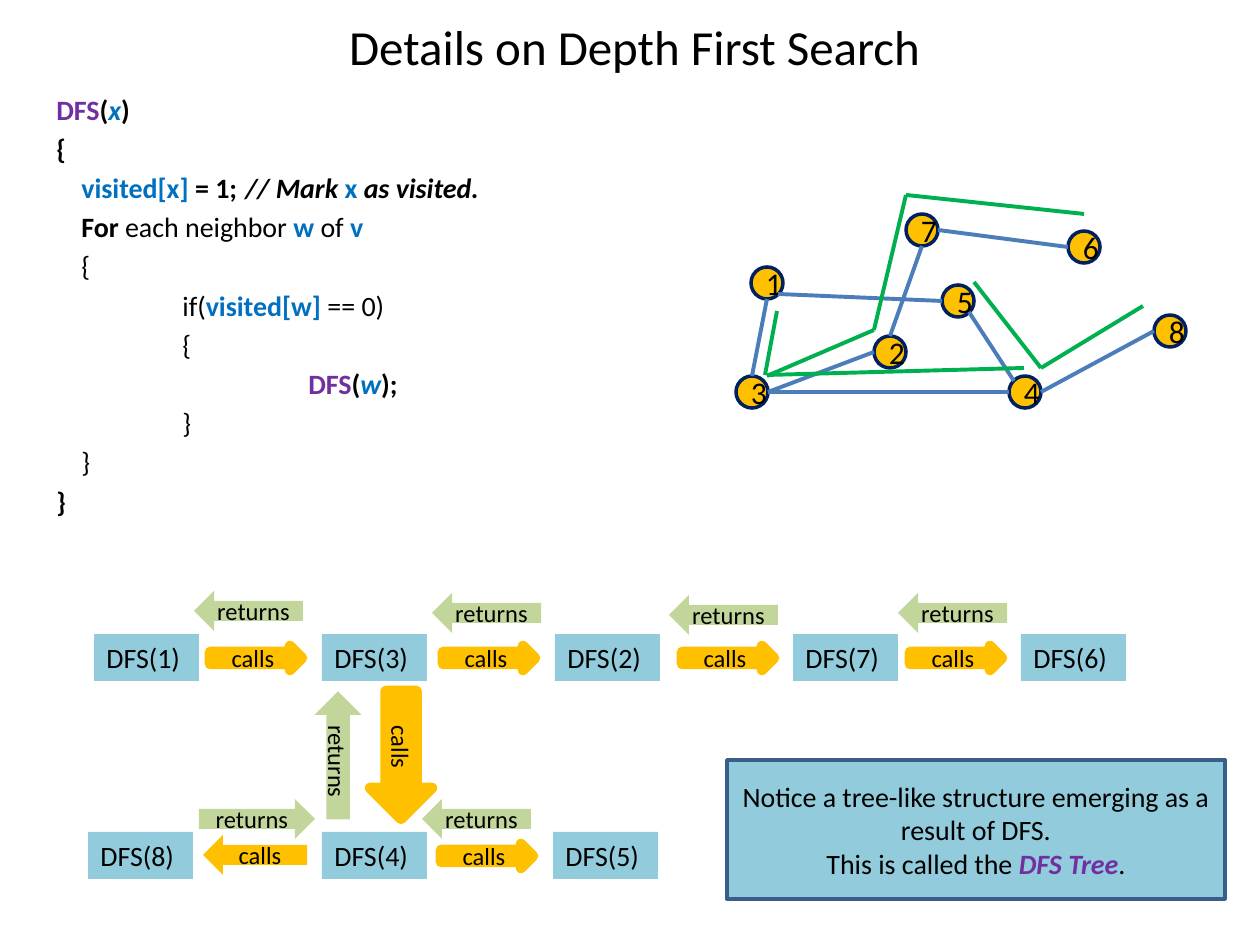
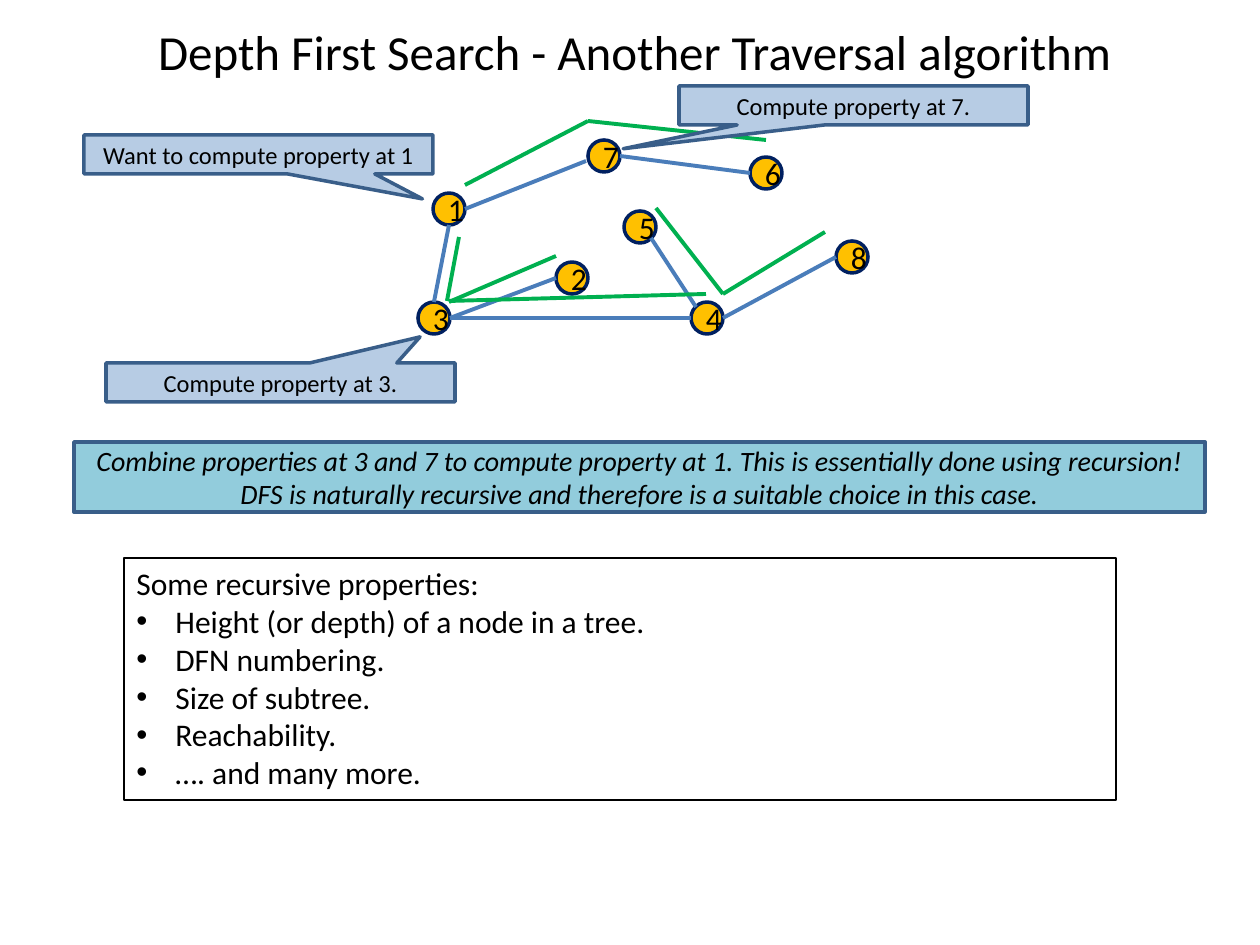
from pptx import Presentation
from pptx.dml.color import RGBColor
from pptx.enum.shapes import MSO_CONNECTOR, MSO_SHAPE as Shape
from pptx.enum.text import MSO_ANCHOR as Anchor, PP_ALIGN as Align
from pptx.oxml.ns import qn
from pptx.util import Pt
from lxml import etree

# Shared scale, font and colours
PX = 914400 / 126
FONT = "Calibri"
BLACK, NAVY, STEEL = "000000", "002060", "395E89"
PURPLE, BLUE = "7030A0", "0070C0"
AMBER, SAGE, AQUA, PALE = "FFC000", "C2D59B", "92CCDC", "B7CCE4"
EDGE, TRAIL = "4A7DBA", "00B050"

# The graph: node corners, and where a line meets a node
NODE = 32
NODES = {"1": (751, 267), "2": (874, 336), "3": (736, 376), "4": (1009, 376),
         "5": (942, 285), "6": (1068, 231), "7": (906, 214), "8": (1154, 315)}
SIDES = {"top": (16, 0), "left": (0, 16), "bottom": (16, 32), "right": (32, 16),
         "upper left": (5, 5), "lower right": (27, 27), "lower left": (-2, 21)}
COMMON_EDGES = [("4", "left", "3", "right"), ("1", "bottom", "3", "top"),
                ("2", "left", "3", "right"), ("5", "lower right", "4", "upper left"),
                ("7", "right", "6", "left"), ("8", "left", "4", "right")]
COMMON_TRAILS = [[(1084, 214), (906, 195)], [(767, 376), (874, 330)],
                 [(974, 282), (1041, 368), (1143, 306)],
                 [(767, 375), (1024, 368)], [(777, 311), (765, 375)]]

# Pseudocode: first-line indent, then spans of text, colour and b/i flags
CODE = [
    (0, [("DFS", PURPLE, "b"), ("(", BLACK, "b"), ("x", BLUE, "bi"), (")", BLACK, "b")]),
    (0, [("{", BLACK, "b")]),
    (25, [("visited[x]", BLUE, "b"), (" = 1;\t", BLACK, "b"), ("// Mark ", BLACK, "bi"),
          ("x", BLUE, "b"), (" as visited.", BLACK, "bi")]),
    (25, [("For ", BLACK, "b"), ("each neighbor ", BLACK, ""), ("w ", BLUE, "b"),
          ("of ", BLACK, ""), ("v", BLUE, "b")]),
    (25, [("{", BLACK, "")]),
    (126, [("if(", BLACK, ""), ("visited[w]", BLUE, "b"), (" == 0)", BLACK, "")]),
    (126, [("{", BLACK, "")]),
    (252, [("DFS", PURPLE, "b"), ("(", BLACK, "b"), ("w", BLUE, "bi"), (");", BLACK, "b")]),
    (126, [("}", BLACK, "")]),
    (25, [("}", BLACK, "")]),
    (0, [("}", BLACK, "b")]),
]


def px(length):
    return round(length * PX)


def rgb(value):
    return RGBColor.from_string(value)


def set_font(font, size, colour=BLACK, flags=""):
    font.name, font.size = FONT, Pt(size)
    font.color.rgb = rgb(colour)
    font.bold, font.italic = "b" in flags, "i" in flags


def write(box, paragraphs, size, align=Align.CENTER, anchor=Anchor.MIDDLE, flags=""):
    """Each paragraph is a string, or a list of (text, colour, flags) spans."""
    frame = box.text_frame
    frame.word_wrap, frame.vertical_anchor = True, anchor
    for index, content in enumerate(paragraphs):
        para = frame.add_paragraph() if index else frame.paragraphs[0]
        para.alignment = align
        if isinstance(content, str):
            para.text = content
            set_font(para.font, size, flags=flags)
            continue
        for text, colour, span_flags in content:
            span = para.add_run()
            span.text = text
            set_font(span.font, size, colour, span_flags)
    return frame


def add_box(page, kind, area, fill=None, line=None, width=2):
    box = page.shapes.add_shape(kind, *map(px, area))
    box.shadow.inherit = False
    if fill:
        box.fill.solid()
        box.fill.fore_color.rgb = rgb(fill)
    else:
        box.fill.background()
    if line:
        box.line.color.rgb = rgb(line)
        box.line.width = Pt(width)
    else:
        box.line.fill.background()
    return box


def add_title(page, text, top, height):
    write(page.shapes.add_textbox(*map(px, (84, top, 1101, height))), [text], 28)


def add_line(page, start, end, colour):
    line = page.shapes.add_connector(MSO_CONNECTOR.STRAIGHT, *map(px, (*start, *end)))
    line.line.color.rgb = rgb(colour)
    line.line.width = Pt(2.25)
    etree.SubElement(line._element.spPr, qn("a:effectLst"))


def add_graph(page, edges, trails, shift=(0, 0)):
    def moved(point, by=(0, 0)):
        return point[0] + by[0] + shift[0], point[1] + by[1] + shift[1]

    for name, corner in NODES.items():
        node = add_box(page, Shape.OVAL, (*moved(corner), NODE, NODE), AMBER, NAVY)
        write(node, [name], 18)
    for first, first_side, second, second_side in COMMON_EDGES + edges:
        add_line(page, moved(NODES[first], SIDES[first_side]),
                 moved(NODES[second], SIDES[second_side]), EDGE)
    for trail in COMMON_TRAILS + trails:
        for start, end in zip(trail, trail[1:]):
            add_line(page, moved(start), moved(end), TRAIL)


def add_call_box(page, number, left, top):
    box = add_box(page, Shape.RECTANGLE, (left, top, 105, 47), AQUA)
    write(box, [f"DFS({number})"], 16, Align.LEFT, Anchor.TOP)


def add_arrow(page, text, kind, area, rotation=0, outlined=False):
    fill = AMBER if text == "calls" else SAGE
    arrow = add_box(page, kind, area, fill, fill if outlined else None, 6)
    arrow.rotation = rotation
    write(arrow, [text], 14)


def add_callout(page, text, left, top, tip):
    callout = add_box(page, Shape.RECTANGULAR_CALLOUT, (left, top, 349, 39), PALE, STEEL)
    callout.adjustments[0], callout.adjustments[1] = tip
    write(callout, [text], 14)


def add_code(page):
    box = page.shapes.add_textbox(*map(px, (44, 86, 529, 456)))
    frame = write(box, [spans for _, spans in CODE], 16, Align.LEFT, Anchor.TOP)
    for index, (para, (indent, _)) in enumerate(zip(frame.paragraphs, CODE)):
        para.space_before = Pt(3.2 if index else 0)
        para._p.get_or_add_pPr().set("indent", str(px(indent)))


def add_call_tree(page):
    # Top chain
    for number, left in zip((1, 3, 2, 7, 6), (94, 322, 555, 793, 1021)):
        add_call_box(page, number, left, 634)
    for left in (210, 443, 682, 910):
        add_arrow(page, "calls", Shape.RIGHT_ARROW, (left, 646, 92, 24), outlined=True)
    for left, top in ((194, 591), (432, 593), (669, 595), (898, 593)):
        add_arrow(page, "returns", Shape.LEFT_ARROW, (left, top, 109, 40))
    # Down to the second row and back
    add_arrow(page, "calls", Shape.RIGHT_ARROW, (337, 724, 128, 62), 90, True)
    add_arrow(page, "returns", Shape.LEFT_ARROW, (274, 732, 128, 47), 90)
    # Second row
    for number, left in zip((8, 4, 5), (88, 322, 553)):
        add_call_box(page, number, left, 832)
    add_arrow(page, "calls", Shape.RIGHT_ARROW, (441, 844, 92, 24), outlined=True)
    add_arrow(page, "returns", Shape.LEFT_ARROW, (422, 799, 109, 40))
    add_arrow(page, "calls", Shape.LEFT_ARROW, (203, 835, 104, 40))
    add_arrow(page, "returns", Shape.RIGHT_ARROW, (199, 799, 116, 40))


def add_property_list(page):
    box = add_box(page, Shape.RECTANGLE, (124, 558, 992, 242), line=BLACK, width=0.75)
    frame = write(box, ["Some recursive properties:",
                        "Height (or depth) of a node in a tree.", "DFN numbering.",
                        "Size of subtree.", "Reachability.", "…. and many more."],
                  18, Align.LEFT, Anchor.TOP)
    for para in frame.paragraphs[1:]:
        layout = para._p.get_or_add_pPr()
        layout.set("marL", str(px(39)))
        layout.set("indent", str(px(-39)))
        bullet = etree.Element(qn("a:buChar"), char="•")
        layout.insert(0, bullet)
        bullet_font = etree.Element(qn("a:buFont"), typeface="Arial")
        layout.insert(0, bullet_font)


def build_details(page):
    add_title(page, "Details on Depth First Search", -4, 100)
    add_code(page)
    add_graph(page, [("1", "lower right", "5", "left"), ("7", "bottom", "2", "top")],
              [[(874, 330), (906, 195)]])
    add_call_tree(page)
    note = add_box(page, Shape.RECTANGLE, (727, 760, 498, 139), AQUA, STEEL)
    write(note, ["Notice a tree-like structure emerging as a result of DFS.",
                 [("This is called the ", BLACK, ""), ("DFS Tree", PURPLE, "bi"),
                  (".", BLACK, "")]], 16)


def build_traversal(page):
    add_title(page, "Depth First Search - Another Traversal algorithm", 6, 90)
    add_graph(page, [("1", "right", "7", "lower left")], [[(783, 259), (906, 195)]],
              (-318, -74))
    add_callout(page, "Want to compute property at 1", 84, 135, (0.47, 1.14))
    add_callout(page, "Compute property at 3.", 106, 363, (0.4, -1.17))
    add_callout(page, "Compute property at 7.", 679, 86, (-0.66, 1.11))
    banner = add_box(page, Shape.RECTANGLE, (74, 442, 1131, 70), AQUA, STEEL)
    write(banner, ["Combine properties at 3 and 7 to compute property at 1. "
                   "This is essentially done using recursion!",
                   "DFS is naturally recursive and therefore is a suitable choice "
                   "in this case."], 16, flags="i")
    add_property_list(page)


def main():
    deck = Presentation()
    deck.slide_width, deck.slide_height = px(1260), px(945)
    for build in (build_details, build_traversal):
        build(deck.slides.add_slide(deck.slide_layouts[6]))
    deck.save("out.pptx")


if __name__ == "__main__":
    main()
